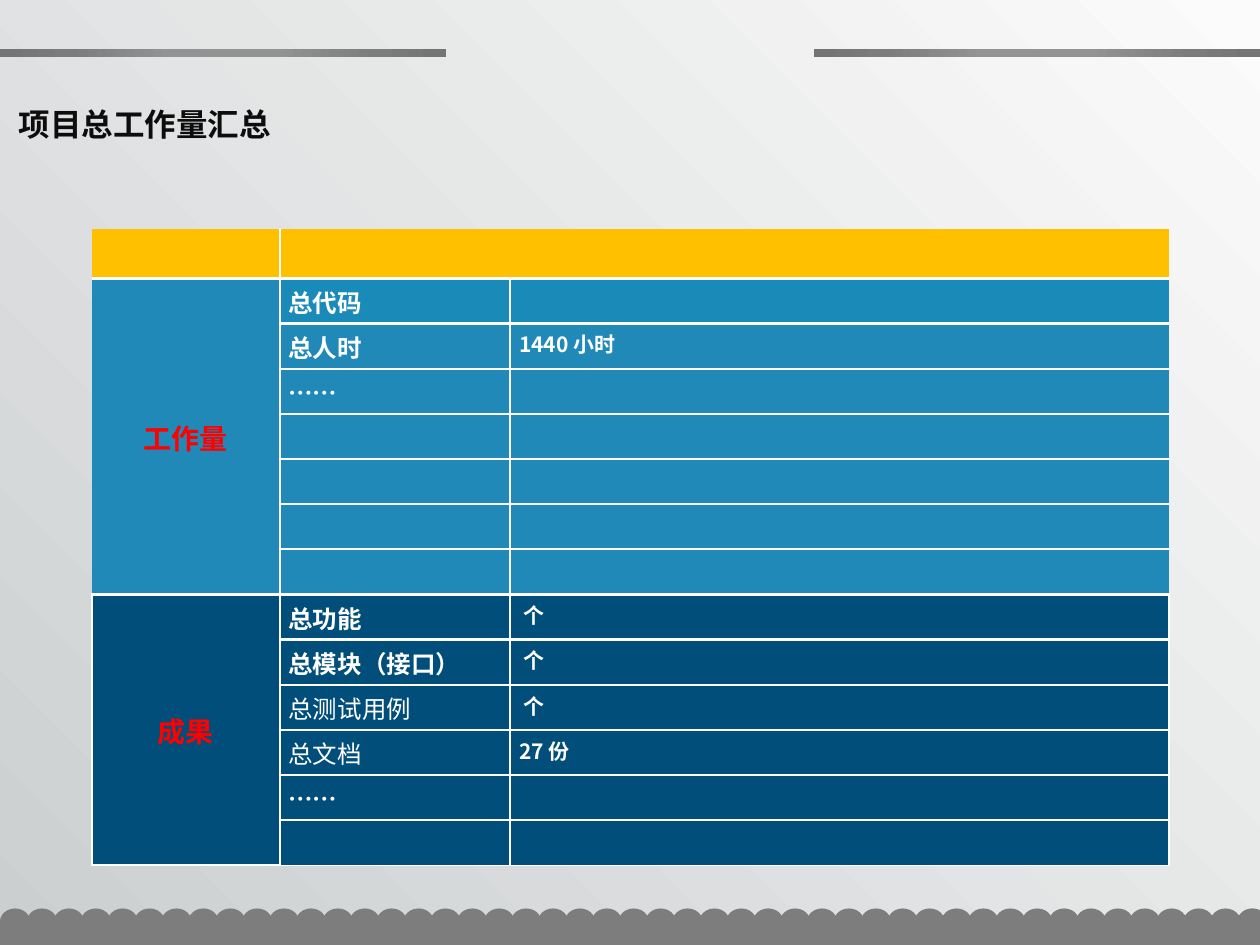
from math import cos, pi, sin

from lxml.etree import SubElement
from pptx import Presentation
from pptx.dml.color import RGBColor
from pptx.enum.shapes import MSO_SHAPE as Preset
from pptx.enum.text import MSO_ANCHOR as Anchor, PP_ALIGN as Align
from pptx.oxml import parse_xml
from pptx.oxml.ns import qn
from pptx.util import Inches, Pt

WIDTH, HEIGHT = 10, 7.5
FONT = "Noto Sans CJK SC"
GREY, WHITE, RED = "7D7D7D", "FFFFFF", "FF0000"
GOLD, BRIGHT_BLUE, BLUE, NAVY = "FFC000", "1A8AB8", "2189B7", "014E7A"
NO_STYLE = "{2D5ABB26-0587-4C30-8999-92F81FD0307C}"
NAMESPACE = "http://schemas.openxmlformats.org/drawingml/2006/main"

# Each group: title, fill, rows of (label, label is bold, value)
GROUPS = [
    ("工作量", BLUE, [("总代码", True, ""), ("总人时", True, "1440 小时"),
                   ("……", True, "")] + [("", True, "")] * 4),
    ("成果", NAVY, [("总功能", True, " 个"), ("总模块（接口）", True, " 个"),
                  ("总测试用例", False, " 个"), ("总文档", False, "27 份"),
                  ("……", True, ""), ("", True, "")]),
]


def color(value):
    return RGBColor.from_string(value)


def add_run(paragraph, text, size, value, bold=True):
    run = paragraph.add_run()
    run.text = text
    font = run.font
    font.size, font.bold, font.name = Pt(size), bold, FONT
    font.color.rgb = color(value)
    SubElement(font._element, qn("a:ea"), typeface=FONT)


def paint(shape, value):
    shape.shadow.inherit = False
    shape.fill.solid()
    shape.fill.fore_color.rgb = color(value)
    shape.line.fill.background()


def add_background(slide):
    fill = slide.background.fill
    fill.gradient()
    fill.gradient_angle = 225
    for stop, position, value in zip(fill.gradient_stops, (0, 1), ("FBFBFB", "CBCFD0")):
        stop.position = position
        stop.color.rgb = color(value)


def add_scalloped_edge(slide, left, top, width, height):
    """A solid band with a row of overlapping discs along its top."""
    shapes = slide.shapes
    band = shapes.add_shape(Preset.RECTANGLE, Inches(left), Inches(top + 0.1),
                            Inches(width), Inches(height - 0.1))
    paint(band, GREY)
    whole, pitch = 46, 9.82 / 46
    disc_width, disc_height = 0.24, 0.21
    for index in range(whole):
        disc = shapes.add_shape(Preset.OVAL, Inches(left + index * pitch), Inches(top),
                                Inches(disc_width), Inches(disc_height))
        paint(disc, GREY)
    # The last disc is cut off at the right edge
    right = left + width
    center = left + whole * pitch + disc_width / 2
    angles = [step * pi / 24 for step in range(48)]
    points = [(Inches(min(right, center + disc_width / 2 * cos(angle))),
               Inches(top + disc_height / 2 * (1 + sin(angle)))) for angle in angles]
    builder = shapes.build_freeform(*points[0], scale=1.0)
    builder.add_line_segments(points[1:], close=True)
    paint(builder.convert_to_shape(), GREY)


def add_top_bar(slide, left, top, width, height):
    bar = slide.shapes.add_shape(Preset.RECTANGLE, Inches(left), Inches(top),
                                 Inches(width), Inches(height))
    paint(bar, GREY)
    stops = [(0, "939393"), (23, "939393"), (69, "7C7C7C"), (97, "747474")]
    stop_xml = "".join(f'<a:gs pos="{position * 1000}"><a:srgbClr val="{value}"/></a:gs>'
                       for position, value in stops)
    gradient = parse_xml(
        f'<a:gradFill xmlns:a="{NAMESPACE}"><a:gsLst>{stop_xml}</a:gsLst><a:path path="circle">'
        '<a:fillToRect l="50000" t="50000" r="50000" b="50000"/></a:path></a:gradFill>')
    properties = bar._element.spPr
    properties.replace(properties.find(qn("a:solidFill")), gradient)


def add_title(slide, left, top, width, height):
    title = slide.shapes.title
    title.left, title.top = Inches(left), Inches(top)
    title.width, title.height = Inches(width), Inches(height)
    frame = title.text_frame
    frame.word_wrap = True
    frame.vertical_anchor = Anchor.TOP
    paragraph = frame.paragraphs[0]
    paragraph.alignment = Align.LEFT
    add_run(paragraph, "项目总工作量汇总", 18, "0D0D0D")


def format_cell(cell, fill, borders):
    """Borders map a side (L, R, T, B) to a width in points."""
    cell.margin_left = cell.margin_right = Inches(0.07)
    cell.margin_top, cell.margin_bottom = Inches(0.04), Inches(0.03)
    properties = cell._tc.get_or_add_tcPr()
    for side in "LRTB":
        points = borders.get(side, 0)
        line = SubElement(properties, qn(f"a:ln{side}"), w=str(Pt(points)))
        if points:
            solid = SubElement(line, qn("a:solidFill"))
            SubElement(solid, qn("a:srgbClr"), val=WHITE)
        else:
            SubElement(line, qn("a:noFill"))
    cell.fill.solid()
    cell.fill.fore_color.rgb = color(fill)


def write_cell(cell, text, size, value=WHITE, bold=True):
    paragraph = cell.text_frame.paragraphs[0]
    if text:
        add_run(paragraph, text, size, value, bold)
    else:
        paragraph.font.size = Pt(12)
    return paragraph


def add_summary_table(slide, left, top, width, height):
    row_count = 1 + sum(len(rows) for _, _, rows in GROUPS)
    frame = slide.shapes.add_table(row_count, 3, Inches(left), Inches(top),
                                   Inches(width), Inches(height))
    table = frame.table
    table.first_row = table.horz_banding = False
    table._tbl.tblPr.find(qn("a:tableStyleId")).text = NO_STYLE
    for column, share in zip(table.columns, (1.49, 1.83, 5.23)):
        column.width = Inches(width * share / 8.55)
    header = 0.39
    for index, row in enumerate(table.rows):
        row.height = Inches((height - header) / (row_count - 1) if index else header)

    # Header
    for column in range(3):
        format_cell(table.cell(0, column), GOLD,
                    {"B": 1.5, "R": 1.5 if column == 0 else 0, "L": 1.5 if column == 1 else 0})
        write_cell(table.cell(0, column), "", 12)
    table.cell(0, 1).merge(table.cell(0, 2))

    # Groups; only the last one has an outer border
    start = 1
    for title, fill, rows in GROUPS:
        outer = 1 if fill == NAVY else 0
        for index, (label, bold, value) in enumerate(rows, start):
            bottom = outer if index == row_count - 1 else 1.5
            row_fill = BRIGHT_BLUE if index == 1 else fill
            sides = [(fill, outer, 1.5), (row_fill, 1.5, 1.5), (row_fill, 1.5, outer)]
            for column, (cell_fill, left_line, right_line) in enumerate(sides):
                format_cell(table.cell(index, column), cell_fill,
                            {"L": left_line, "R": right_line, "T": 1.5, "B": bottom})
            write_cell(table.cell(index, 1), label, 14, bold=bold)
            write_cell(table.cell(index, 2), value, 12)
        group = table.cell(start, 0)
        group.merge(table.cell(start + len(rows) - 1, 0))
        group.vertical_anchor = Anchor.MIDDLE
        write_cell(group, title, 16, RED).alignment = Align.CENTER
        start += len(rows)


def main():
    presentation = Presentation()
    presentation.slide_width, presentation.slide_height = Inches(WIDTH), Inches(HEIGHT)
    slide = presentation.slides.add_slide(presentation.slide_layouts[5])
    add_background(slide)
    add_scalloped_edge(slide, 0, 7.21, WIDTH, HEIGHT - 7.21)
    bar_width = 3.54
    for left in (0, WIDTH - bar_width):
        add_top_bar(slide, left, 0.39, bar_width, 0.06)
    add_summary_table(slide, 0.73, 1.82, 8.55, 5.05)
    add_title(slide, 0.05, 0.78, 3.69, 0.4)
    presentation.save("out.pptx")


if __name__ == "__main__":
    main()
